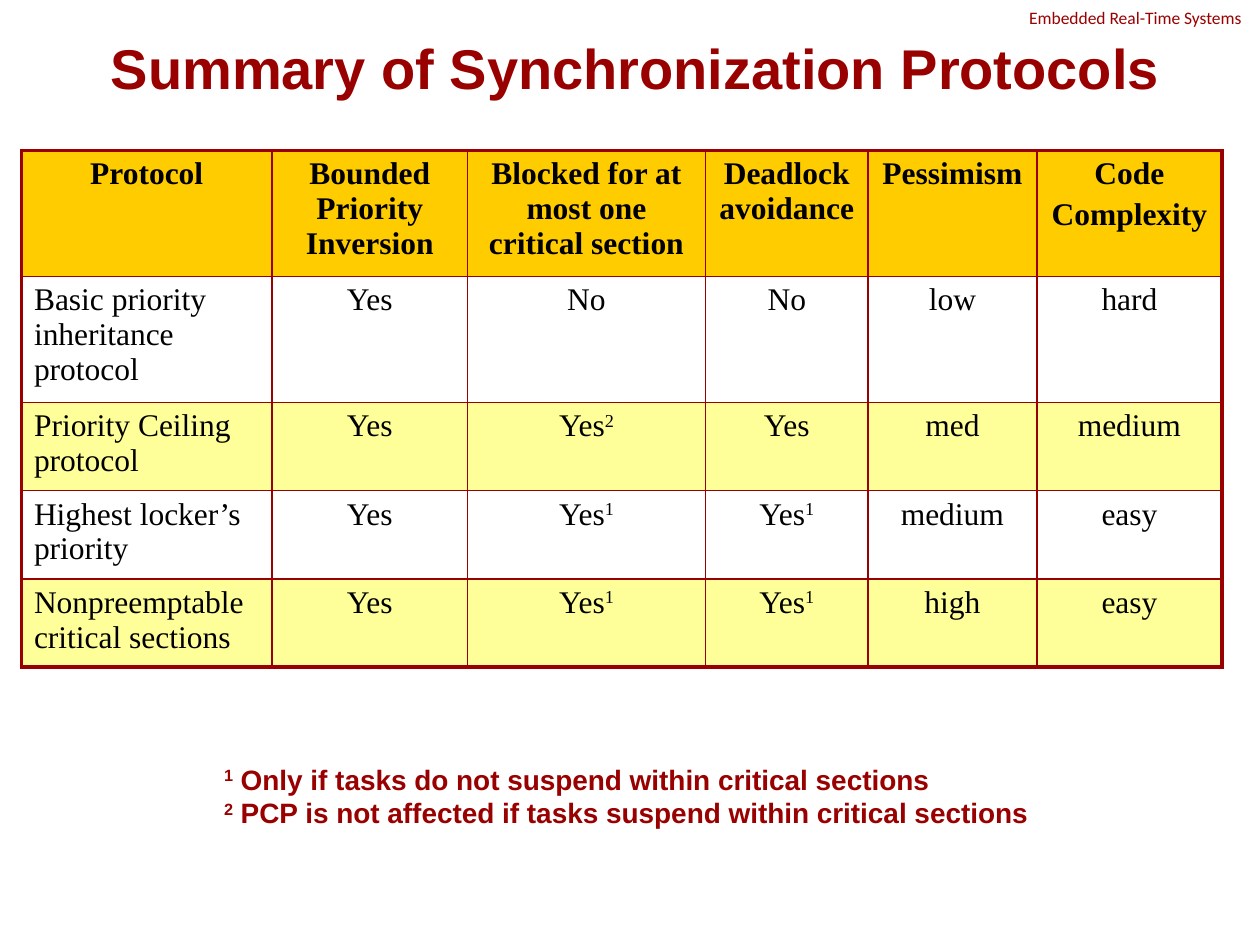
"""Build a slide that sums up synchronization protocols in a table."""
from lxml.etree import SubElement
from pptx import Presentation
from pptx.dml.color import RGBColor
from pptx.enum.text import MSO_ANCHOR, MSO_AUTO_SIZE, PP_ALIGN
from pptx.oxml.ns import qn
from pptx.util import Inches, Pt

RED = RGBColor(0x99, 0x00, 0x00)
BLACK = RGBColor(0x00, 0x00, 0x00)
GOLD = RGBColor(0xFF, 0xCC, 0x00)
CREAM = RGBColor(0xFF, 0xFF, 0x99)
WIDE, HIGH = Inches(10), Inches(7.5)


def write(frame, text, size=18, face="Times New Roman", color=BLACK,
          bold=False, align=PP_ALIGN.LEFT, gap=0):
    """Fill a frame; newlines part paragraphs, carets enclose superscripts."""
    for i, line in enumerate(text.split("\n")):
        para = frame.paragraphs[0] if i == 0 else frame.add_paragraph()
        para.alignment = align
        para.space_before = Pt(gap if i else 0)
        for j, part in enumerate(line.split("^")):
            if part:
                run = para.add_run()
                run.text = part
                font = run.font
                font.size, font.name, font.bold = Pt(size), face, bold
                font.color.rgb = color
                if j % 2:
                    font._element.set("baseline", "30000")


def share(left, top, width, height):
    """Turn shares of the slide's size into lengths."""
    return int(WIDE * left), int(HIGH * top), int(WIDE * width), int(HIGH * height)


deck = Presentation()
deck.slide_width, deck.slide_height = WIDE, HIGH
slide = deck.slides.add_slide(deck.slide_layouts[5])

title = slide.shapes.title
title.left, title.top, title.width, title.height = share(0.067, 0.033, 0.875, 0.077)
title.text_frame.auto_size = MSO_AUTO_SIZE.NONE
title.text_frame.vertical_anchor = MSO_ANCHOR.MIDDLE
write(title.text_frame, "Summary of Synchronization Protocols", size=32,
      face="Arial", color=RED, bold=True, align=PP_ALIGN.CENTER)

notes = ("^1^ Only if tasks do not suspend within critical sections\n"
         "^2^ PCP is not affected if tasks suspend within critical sections")
for text, spot, wrap, style in [
    ("Embedded Real-Time Systems", (0.807, 0.001, 0.227, 0.036), True,
     dict(size=10, face="Calibri")),
    (notes, (0.168, 0.8, 0.663, 0.12), False,
     dict(size=16, face="Arial", bold=True)),
]:
    frame = slide.shapes.add_textbox(*share(*spot)).text_frame
    frame.word_wrap = wrap
    frame.auto_size = MSO_AUTO_SIZE.SHAPE_TO_FIT_TEXT
    write(frame, text, color=RED, **style)

data = [
    ["Protocol", "Bounded Priority Inversion", "Blocked for at most one critical section",
     "Deadlock avoidance", "Pessimism", "Code\nComplexity"],
    ["Basic priority inheritance protocol", "Yes", "No", "No", "low", "hard"],
    ["Priority Ceiling protocol", "Yes", "Yes^2^", "Yes", "med", "medium"],
    ["Highest locker’s\npriority", "Yes", "Yes^1^", "Yes^1^", "medium", "easy"],
    ["Nonpreemptable\ncritical sections", "Yes", "Yes^1^", "Yes^1^", "high", "easy"],
]
cols = [1.99, 1.55, 1.89, 1.29, 1.34, 1.47]
rows = [1, 1, 0.7, 0.7, 0.7]
fills = [GOLD, None, CREAM, None, CREAM]
table = slide.shapes.add_table(
    len(rows), len(cols), *share(0.017, 0.159, 0.953, 0.547)).table
table.first_row = table.horz_banding = False
for col, width in zip(table.columns, cols):
    col.width = Inches(width)
for row, height in zip(table.rows, rows):
    row.height = Inches(height)

for r, line in enumerate(data):
    for c, text in enumerate(line):
        cell = table.cell(r, c)
        head, mid = r == 0, r == 0 or c > 0
        write(cell.text_frame, text, bold=head, gap=3.6 if mid else 0,
              align=PP_ALIGN.CENTER if mid else PP_ALIGN.LEFT)
        props = cell._tc.get_or_add_tcPr()
        for side, edge in [("L", c == 0), ("R", c == len(cols) - 1),
                           ("T", head), ("B", r == len(rows) - 1)]:
            rule = SubElement(props, qn("a:ln" + side), w=str(Pt(2.25 if edge else 1)))
            paint = SubElement(rule, qn("a:solidFill"))
            SubElement(paint, qn("a:srgbClr"), val=str(RED))
        if fills[r]:
            cell.fill.solid()
            cell.fill.fore_color.rgb = fills[r]
        else:
            cell.fill.background()

deck.save("out.pptx")
